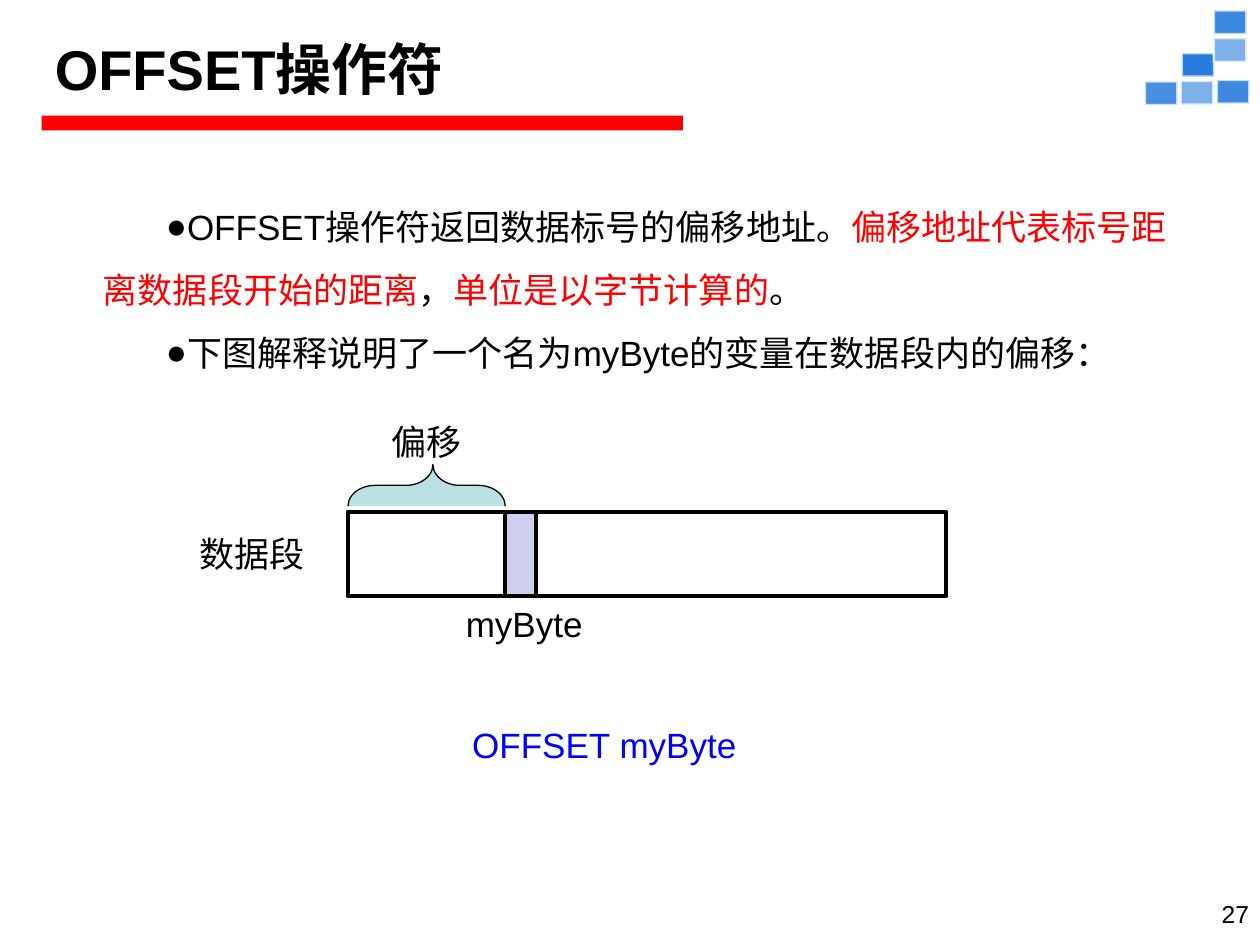
import pptx
import pptx.dml.color
import pptx.enum.shapes
import pptx.enum.text
import pptx.oxml
import pptx.oxml.ns
import pptx.util

Cm = pptx.util.Cm
Pt = pptx.util.Pt
RGBColor = pptx.dml.color.RGBColor
SHAPE = pptx.enum.shapes.MSO_SHAPE
ALIGN = pptx.enum.text.PP_ALIGN
ANCHOR = pptx.enum.text.MSO_ANCHOR

BLACK = RGBColor(0x00, 0x00, 0x00)
WHITE = RGBColor(0xFF, 0xFF, 0xFF)
RED = RGBColor(0xFF, 0x00, 0x00)
BLUE = RGBColor(0x00, 0x00, 0xFF)
TILE_BLUE = RGBColor(0x29, 0x7C, 0xDD)
LILAC = RGBColor(0xCE, 0xCE, 0xEF)
TEAL = RGBColor(0xBB, 0xE0, 0xE3)

TITLE = [("OFFSET操作符", BLACK)]
BULLETS = [
    [
        ("OFFSET操作符返回数据标号的偏移地址。", BLACK),
        ("偏移地址代表标号距离数据段开始的距离", RED),
        ("，", BLACK),
        ("单位是以字节计算的", RED),
        ("。", BLACK),
    ],
    [("下图解释说明了一个名为myByte的变量在数据段内的偏移：", BLACK)],
]
LABELS = [
    ("数据段", BLACK, (3.77, 10.62, 2.65, 1.12), 20, ALIGN.LEFT),
    ("偏移", BLACK, (7.65, 8.35, 2.0, 1.12), 20, ALIGN.LEFT),
    ("myByte", BLACK, (9.14, 12.03, 3.38, 1.12), 20, ALIGN.LEFT),
    ("OFFSET myByte", BLUE, (9.27, 14.47, 6.86, 1.12), 20, ALIGN.LEFT),
    ("27", BLACK, (22.66, 18, 2.77, 0.86), 14, ALIGN.RIGHT),
]
TILE_SIZE = (0.66, 0.48)
TILES = [
    (24.86, 1.85, 90),
    (24.13, 1.87, 60),
    (23.41, 1.88, 85),
    (24.15, 1.31, 100),
    (24.8, 1.01, 60),
    (24.8, 0.45, 90),
]
SEGMENT_LEFT, SEGMENT_TOP, SEGMENT_HEIGHT = 7.01, 10.32, 1.7
SEGMENTS = [(3.17, None), (0.63, LILAC), (8.27, None)]


def place(sp, box):
    for name, value in zip(("left", "top", "width", "height"), box):
        setattr(sp, name, Cm(value))


def add_runs(p, runs, size, bold=False):
    for text, color in runs:
        r = p.add_run()
        r.text = text
        fmt = {"name": "Arial", "size": Pt(size), "bold": bold}
        for name, value in fmt.items():
            setattr(r.font, name, value)
        r.font.color.rgb = color


def add_shape(s, kind, box, fill=None, line=None, weight=0):
    sp = s.shapes.add_shape(kind, *map(Cm, box))
    sp.shadow.inherit = False
    if fill is None:
        sp.fill.background()
    else:
        sp.fill.solid()
        sp.fill.fore_color.rgb = fill
    if line is None:
        sp.line.fill.background()
    else:
        sp.line.color.rgb = line
        sp.line.width = Pt(weight)
    return sp


def add_child(parent, tag, **attrs):
    el = parent.makeelement(pptx.oxml.ns.qn(tag), attrs)
    parent.append(el)
    return el


def set_alpha(sp, fill, line):
    colors = sp._element.spPr.findall(".//" + pptx.oxml.ns.qn("a:srgbClr"))
    for color, percent in zip(colors, (fill, line)):
        add_child(color, "a:alpha", val=str(percent * 1000))


def set_bullet(p):
    pPr = p._p.get_or_add_pPr()
    pPr.set("marL", "0")
    pPr.set("indent", str(Cm(1.27)))
    color = add_child(pPr, "a:buClr")
    add_child(color, "a:srgbClr", val=str(BLACK))
    add_child(pPr, "a:buFont", typeface="Arial")
    add_child(pPr, "a:buChar", char="●")
    p.line_spacing = 1.5
    p.space_before = Pt(0)


def main():
    prs = pptx.Presentation()
    prs.slide_width, prs.slide_height = Cm(25.4), Cm(19.05)
    s = prs.slides.add_slide(prs.slide_layouts[1])
    title, body = s.placeholders[0], s.placeholders[1]

    for x, y, alpha in TILES:
        w, h = TILE_SIZE
        sp = add_shape(s, SHAPE.RECTANGLE, (x - w / 2, y - h / 2, w, h),
                       TILE_BLUE, WHITE, 1.5)
        set_alpha(sp, alpha, 70)
    add_shape(s, SHAPE.RECTANGLE, (0.84, 2.33, 12.93, 0.3), RED)

    place(title, (0.85, 0.43, 21.16, 1.9))
    place(body, (1.82, 3.59, 22.55, 4.06))
    for sp, anchor in ((title, ANCHOR.MIDDLE), (body, ANCHOR.TOP)):
        fmt = {"word_wrap": True, "vertical_anchor": anchor,
               "auto_size": pptx.enum.text.MSO_AUTO_SIZE.NONE}
        for name, value in fmt.items():
            setattr(sp.text_frame, name, value)
    p = title.text_frame.paragraphs[0]
    p.alignment = ALIGN.LEFT
    add_runs(p, TITLE, 32, True)
    tf = body.text_frame
    for i, runs in enumerate(BULLETS):
        p = tf.add_paragraph() if i else tf.paragraphs[0]
        set_bullet(p)
        add_runs(p, runs, 20)

    x = SEGMENT_LEFT
    for width, fill in SEGMENTS:
        add_shape(s, SHAPE.RECTANGLE, (x, SEGMENT_TOP, width, SEGMENT_HEIGHT),
                  fill, BLACK, 2.25)
        x += width
    brace = add_shape(s, SHAPE.LEFT_BRACE, (8.18, 8.2, 0.84, 3.17), TEAL, BLACK, 0.75)
    brace.rotation = 90
    brace.adjustments[0] = 0.65
    brace.adjustments[1] = 0.46

    for text, color, box, size, align in LABELS:
        tf = s.shapes.add_textbox(*map(Cm, box)).text_frame
        tf.word_wrap = False
        p = tf.paragraphs[0]
        p.alignment = align
        add_runs(p, [(text, color)], size)

    prs.save("out.pptx")


if __name__ == "__main__":
    main()
